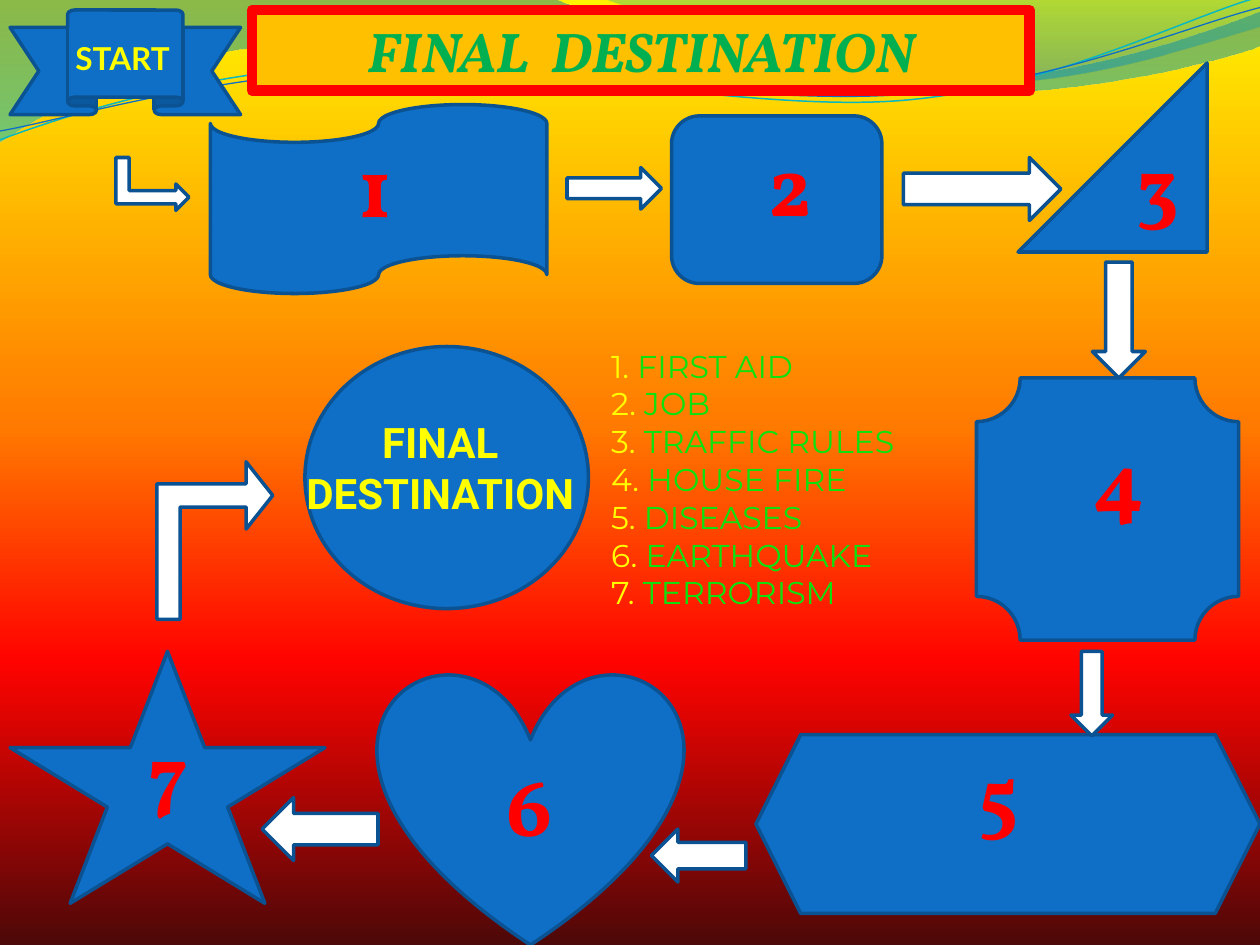
from dataclasses import dataclass

from lxml import etree
from pptx import Presentation
from pptx.dml.color import RGBColor
from pptx.enum.shapes import MSO_SHAPE as Preset
from pptx.enum.text import MSO_ANCHOR as Anchor, MSO_AUTO_SIZE as AutoSize, PP_ALIGN as Align
from pptx.oxml.ns import qn
from pptx.util import Inches, Pt


@dataclass(frozen=True)
class Theme:
    blue: str = "0F6FC6"
    navy: str = "0B5292"
    white: str = "FFFFFF"
    red: str = "FF0000"
    yellow: str = "FFFF00"
    amber: str = "FFC000"
    title_green: str = "00B050"
    topic_green: str = "0EE20E"
    teal: str = "0AB8BF"
    sunset: tuple = ((0, "FFF200", 100), (45, "FF7A00", 100), (70, "FF0300", 100), (100, "4D0808", 100))
    deep_wave: tuple = ((0, "0074A1", 45), (100, "00C6CF", 55))
    light_wave: tuple = ((0, "00A1A9", 30), (80, "008BBF", 45))
    title_size: int = 32
    number_size: int = 48
    goal_size: int = 24
    label_size: int = 18
    outline: float = 2


THEME = Theme()


def paint_gradient(properties, stops):
    """Replace a solid fill by a top-to-bottom gradient of (position, colour, opacity)."""
    gradient = etree.Element(qn("a:gradFill"), rotWithShape="1")
    stop_list = etree.SubElement(gradient, qn("a:gsLst"))
    for position, colour, opacity in stops:
        stop = etree.SubElement(stop_list, qn("a:gs"), pos=str(position * 1000))
        tone = etree.SubElement(stop, qn("a:srgbClr"), val=colour)
        if opacity < 100:
            etree.SubElement(tone, qn("a:alpha"), val=str(opacity * 1000))
    etree.SubElement(gradient, qn("a:lin"), ang="5400000", scaled="0")
    properties.replace(properties.find(qn("a:solidFill")), gradient)


def style(shape, fill, line, width=THEME.outline):
    if fill:
        shape.fill.solid()
        shape.fill.fore_color.rgb = RGBColor.from_string(fill)
    else:
        shape.fill.background()
    if line:
        shape.line.color.rgb = RGBColor.from_string(line)
        shape.line.width = Pt(width)
    else:
        shape.line.fill.background()


def write(frame, lines, font, size, align=Align.LEFT, anchor=Anchor.TOP, bold=False, italic=False):
    """Write lines, each a list of (text, colour) pieces."""
    frame.word_wrap = True
    frame.auto_size = AutoSize.NONE
    frame.vertical_anchor = anchor
    for index, pieces in enumerate(lines):
        paragraph = frame.add_paragraph() if index else frame.paragraphs[0]
        paragraph.alignment = align
        paragraph.space_before = Pt(0)
        for text, colour in pieces:
            run = paragraph.add_run()
            run.text = text
            run.font.name, run.font.size = font, Pt(size)
            run.font.bold, run.font.italic = bold, italic
            run.font.color.rgb = RGBColor.from_string(colour)


def place(part, left, top, width, height):
    part.left, part.top = Inches(left), Inches(top)
    part.width, part.height = Inches(width), Inches(height)


def add_label(parent, box, lines, font, size, **options):
    label = parent.shapes.add_textbox(*map(Inches, box))
    write(label.text_frame, lines, font, size, **options)


def add_preset(parent, preset, box, fill=THEME.blue, turn=0, flip=False, adjust=()):
    shape = parent.shapes.add_shape(preset, *map(Inches, box))
    shape.shadow.inherit = False
    style(shape, fill, THEME.navy)
    shape.rotation = turn
    if flip:
        shape.element.spPr.find(qn("a:xfrm")).set("flipH", "1")
    for index, value in enumerate(adjust):
        shape.adjustments[index] = value


def add_wave(parent, box, start, segments, stops=None, line=None, width=1):
    """Draw segments of one point (line) or three points (curve)."""
    left, top = box[:2]
    points = [(Inches(left + x), Inches(top + y))
              for x, y in [start] + [point for segment in segments for point in segment]]
    builder = parent.shapes.build_freeform(*points[0], scale=1.0)
    builder.add_line_segments(points[1:], close=bool(stops))
    wave = builder.convert_to_shape()
    wave.shadow.inherit = False
    style(wave, THEME.teal if stops else None, line, width)
    if stops:
        paint_gradient(wave.element.spPr, stops)
    # Join each three line targets of a curve into one cubic segment
    targets = iter(list(wave.element.iter(qn("a:lnTo"))))
    for segment in segments:
        first, *others = [next(targets) for _ in segment]
        if others:
            curve = etree.Element(qn("a:cubicBezTo"))
            first.addprevious(curve)
            for target in (first, *others):
                curve.append(target[0])
                target.getparent().remove(target)
    return wave


def draw_waves(slide, master, box):
    """Draw the waves and hand them to the master, behind its placeholders."""
    deep = add_wave(slide, box, (0, 0), [
        [(4.4, -0.01)],
        [(4.76, 0.17), (6.64, 0.63), (7.58, 0.63)],
        [(8.53, 0.63), (9.58, 0.26), (10, 0.09)],
        [(10.01, 0.36)],
        [(9.83, 0.44), (8.7, 0.76), (7.46, 0.75)],
        [(6.22, 0.75), (3.82, 0.28), (2.57, 0.34)],
        [(1.29, 0.36), (0.46, 0.83), (-0.01, 1.13)]], stops=THEME.deep_wave)
    light = add_wave(slide, box, (4.79, -0.01), [
        [(5.09, 0.11), (6.82, 0.62), (7.69, 0.65)],
        [(8.56, 0.69), (9.61, 0.32), (10, 0.21)],
        [(10, 0)]], stops=THEME.light_wave)
    strands = slide.shapes.add_group_shape()
    add_wave(strands, box, (0, 1.11), [
        [(0.48, 0.93), (1.58, 0.57), (2.77, 0.52)],
        [(3.95, 0.47), (5.93, 0.89), (7.13, 0.8)],
        [(8.33, 0.71), (9.38, 0.15), (9.98, -0.02)]], line=THEME.teal, width=0.85)
    add_wave(strands, box, (0, 1.04), [
        [(0.47, 0.96), (1.64, 0.61), (2.83, 0.56)],
        [(4.03, 0.51), (5.97, 0.84), (7.17, 0.75)],
        [(8.36, 0.67), (9.41, 0.21), (10, 0.06)]], line=THEME.blue, width=0.75)
    tree = master.shapes.element
    for depth, wave in enumerate((deep, light, strands), start=2):
        tree.insert(depth, wave.element)
    for number, identity in enumerate(tree.iter(qn("p:cNvPr")), start=1):
        identity.set("id", str(number))


def draw_title(slide, box):
    title = slide.shapes.title
    place(title, *box)
    style(title, THEME.amber, THEME.red, 6)
    write(title.text_frame, [[("FINAL  DESTINATION", THEME.title_green)]], "Vollkorn", THEME.title_size,
          align=Align.CENTER, anchor=Anchor.MIDDLE, bold=True, italic=True)


def draw_topics(slide, box, topics):
    body = slide.placeholders[1]
    place(body, *box)
    write(body.text_frame, [[(f"{number}. ", THEME.yellow), (topic, THEME.topic_green)]
                            for number, topic in enumerate(topics, start=1)],
          "Montserrat", THEME.label_size)
    for paragraph in body.text_frame.paragraphs:
        properties = paragraph._p.get_or_add_pPr()
        properties.set("marL", "0")
        properties.set("indent", "0")
        etree.SubElement(properties, qn("a:buNone"))


def draw_start(slide, box):
    left, top = box[:2]
    banner = slide.shapes.add_group_shape()
    add_preset(banner, Preset.UP_RIBBON, box)
    add_label(banner, (left + 0.42, top + 0.18, 1.08, 0.4), [[("START", THEME.yellow)]],
              "Lato", THEME.label_size, bold=True)


def draw_goal(slide, box):
    left, top = box[:2]
    add_preset(slide, Preset.OVAL, box)
    add_label(slide, (left - 0.09, top + 0.51, 2.33, 0.91),
              [[(word, THEME.yellow)] for word in ("FINAL", "DESTINATION")],
              "Roboto", THEME.goal_size, align=Align.CENTER, bold=True)


def draw_step(slide, box, number, preset, offset, turn=0):
    left, top = box[:2]
    add_preset(slide, preset, box, turn=turn)
    add_label(slide, (left + offset[0], top + offset[1], 0.83, 0.91), [[(str(number), THEME.red)]],
              "Vollkorn", THEME.number_size, bold=True)


# Stations: box, outline, offset of the number, rotation
STEPS = [
    ((1.67, 0.83, 2.67, 1.5), Preset.FLOWCHART_PUNCHED_TAPE, (1.08, 0.18), 0),
    ((5.33, 0.92, 1.67, 1.33), Preset.ROUNDED_RECTANGLE, (0.67, 0.08), 0),
    ((8.08, 0.5, 1.5, 1.5), Preset.RIGHT_TRIANGLE, (0.84, 0.5), 270),
    ((7.75, 3, 2.08, 2.08), Preset.PLAQUE, (0.83, 0.34), 0),
    ((6, 5.83, 4, 1.42), Preset.HEXAGON, (1.67, 0.01), 0),
    ((3, 5.33, 2.42, 2.17), Preset.HEART, (0.92, 0.59), 0),
    ((0.08, 5.17, 2.5, 2), Preset.STAR_5_POINT, (1, 0.5), 0),
]
# Arrows along the route: outline, box, format
ARROWS = [
    (Preset.BENT_UP_ARROW, (1, 1.17, 0.42, 0.58), {"turn": 90}),
    (Preset.RIGHT_ARROW, (4.5, 1.33, 0.75, 0.33), {}),
    (Preset.RIGHT_ARROW, (7.17, 1.25, 1.25, 0.5), {}),
    (Preset.DOWN_ARROW, (8.67, 2.08, 0.42, 0.92), {}),
    (Preset.DOWN_ARROW, (8.5, 5.17, 0.33, 0.67), {}),
    (Preset.RIGHT_ARROW, (5.17, 6.58, 0.75, 0.42), {"turn": 180}),
    (Preset.RIGHT_ARROW, (2.08, 6.33, 0.92, 0.5), {"turn": 180}),
    (Preset.BENT_UP_ARROW, (1.08, 3.83, 1.25, 0.92),
     {"turn": 90, "flip": True, "adjust": (0.2, 0.29, 0.23)}),
]
TOPICS = ["FIRST AID", "JOB", "TRAFFIC RULES", "HOUSE FIRE", "DISEASES", "EARTHQUAKE", "TERRORISM"]

deck = Presentation()
deck.slide_width, deck.slide_height = Inches(10), Inches(7.5)
board = deck.slides.add_slide(deck.slide_layouts[1])
board.background.fill.solid()
paint_gradient(board.element.find(".//" + qn("p:bgPr")), THEME.sunset)
draw_waves(board, deck.slide_master, (0, 0, 10, 1.14))
draw_title(board, (2, 0.08, 6.17, 0.64))
draw_topics(board, (4.75, 2.7, 2.75, 2.22), TOPICS)
draw_start(board, (0.08, 0.08, 1.83, 0.83))
draw_goal(board, (2.42, 2.75, 2.25, 2.08))
for number, (box, preset, offset, turn) in enumerate(STEPS, start=1):
    draw_step(board, box, number, preset, offset, turn)
for preset, box, options in ARROWS:
    add_preset(board, preset, box, fill=THEME.white, **options)
deck.save("out.pptx")
